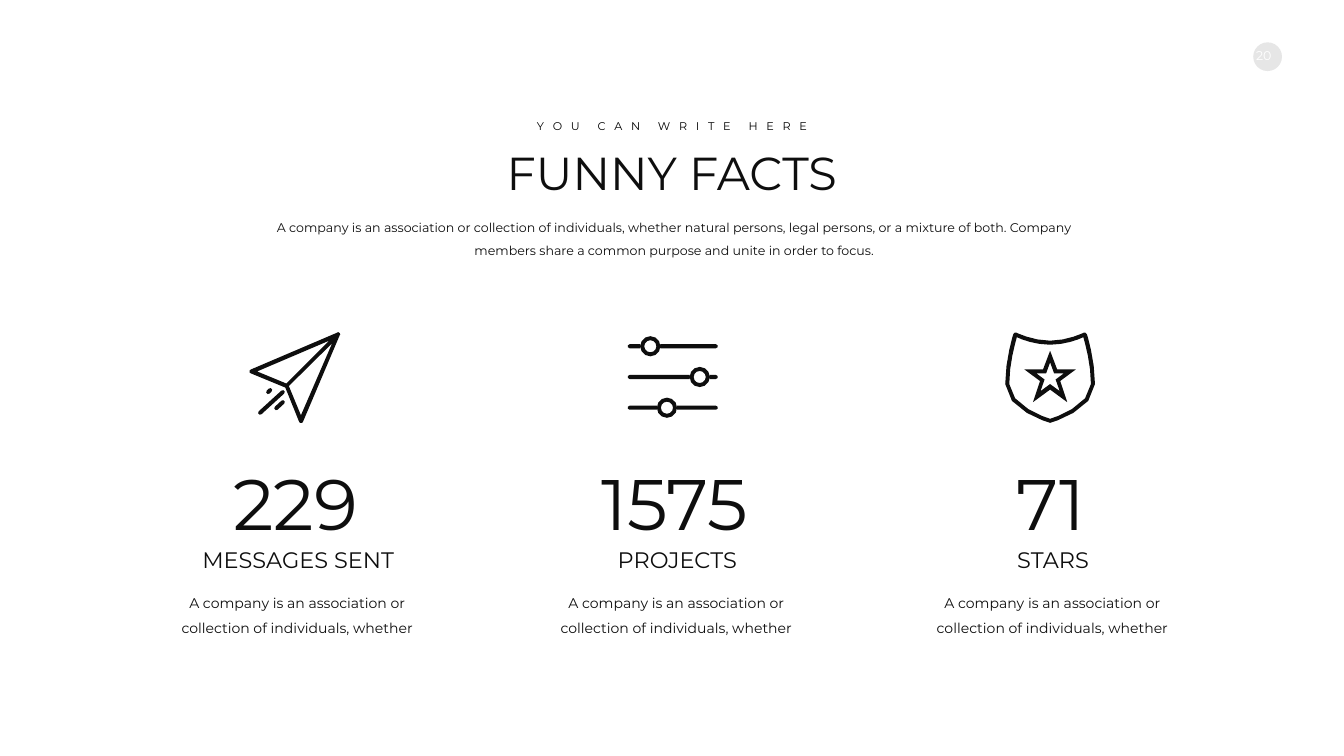
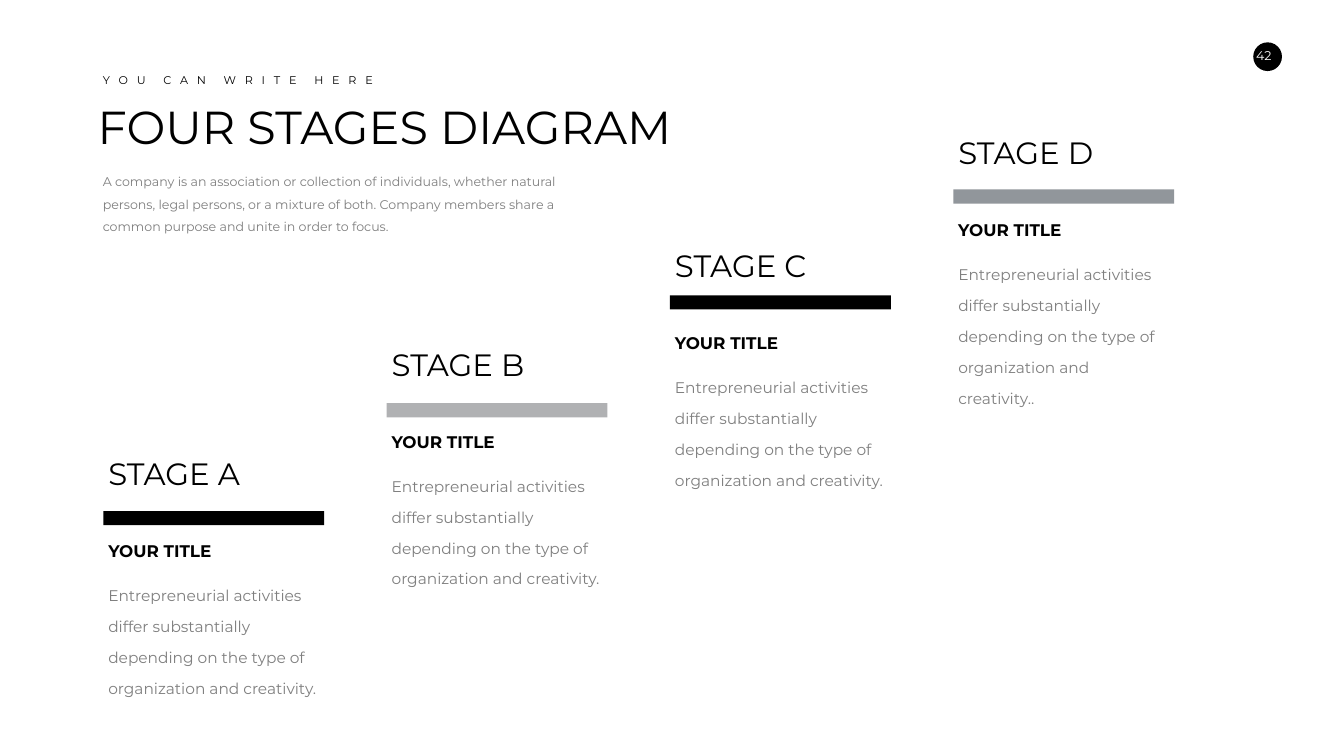
import dataclasses
import math

import lxml.etree
import pptx
import pptx.dml.color
import pptx.enum.shapes
import pptx.enum.text
import pptx.oxml.ns
import pptx.presentation
import pptx.shapes.autoshape
import pptx.slide
import pptx.util

PX = 9144  # EMU in one px, 100 px to the inch
PAGE_WIDTH, PAGE_HEIGHT = 2666, 1500
FONT = "Montserrat"
COLORS = {
    "black": "000000",
    "ink": "0E0E0E",
    "white": "FFFFFF",
    "gray": "7F7F7F",
    "silver": "B0B1B3",
    "steel": "91969B",
}
LEFT = pptx.enum.text.PP_ALIGN.LEFT
CENTER = pptx.enum.text.PP_ALIGN.CENTER
RECTANGLE = pptx.enum.shapes.MSO_SHAPE.RECTANGLE
OVAL = pptx.enum.shapes.MSO_SHAPE.OVAL

EYEBROW_WORDS = ("Y O U", "C A N", "W R I T E", "H E R E")
LETTER_SPACING, WORD_SPACING = 420, 1680  # hundredths of a point
INTRO = (
    "A company is an association or collection of individuals, whether natural "
    "persons, legal persons, or a mixture of both. Company members share a "
    "common purpose and unite in order to focus."
)
FACT_TEXT = "A company is an association or collection of individuals, whether"
STAGE_TEXT = (
    "Entrepreneurial activities differ substantially depending on the type of "
    "organization and creativity."
)

Point = tuple[float, float]
Contour = list[Point]
Pieces = list[tuple[str, int]]


@dataclasses.dataclass
class Area:
    left: int
    top: int
    width: int
    height: int

    def emu(self) -> tuple[int, int, int, int]:
        return self.left * PX, self.top * PX, self.width * PX, self.height * PX


@dataclasses.dataclass
class Header:
    title: str
    eyebrow_area: Area
    title_area: Area
    intro_area: Area
    align: pptx.enum.text.PP_ALIGN
    title_color: str
    intro_color: str


@dataclasses.dataclass
class Fact:
    number: str
    label: str
    center: int
    number_width: int
    label_width: int
    icon: list[Contour]


@dataclasses.dataclass
class Stage:
    letter: str
    top: int
    bar_top: int
    bar_color: str
    ending: str = ""


def add_text(
    page: pptx.slide.Slide, text: str | Pieces, area: Area, *, size: int,
    color: str = "black", bold: bool = False,
    align: pptx.enum.text.PP_ALIGN = LEFT, line_spacing: float | None = None,
    insets: tuple[int, int, int, int] = (10, 5, 10, 5),
) -> None:
    """Add a paragraph of plain text, or of pieces with their own letter spacing.

    Insets are left, top, right, bottom in px.
    """
    frame = page.shapes.add_textbox(*area.emu()).text_frame
    frame.word_wrap = True
    (frame.margin_left, frame.margin_top,
     frame.margin_right, frame.margin_bottom) = [inset * PX for inset in insets]
    para = frame.paragraphs[0]
    para.alignment = align
    para.line_spacing = line_spacing
    for piece, spacing in [(text, 0)] if isinstance(text, str) else text:
        span = para.add_run()
        span.text = piece
        span.font.name = FONT
        span.font.size = pptx.util.Pt(size)
        span.font.bold = bold
        span.font.color.rgb = pptx.dml.color.RGBColor.from_string(COLORS[color])
        if spacing:
            span.font._rPr.set("spc", str(spacing))


def paint(shape: pptx.shapes.autoshape.Shape, color: str) -> None:
    shape.shadow.inherit = False
    shape.fill.solid()
    shape.fill.fore_color.rgb = pptx.dml.color.RGBColor.from_string(COLORS[color])
    shape.line.fill.background()


def add_block(
    page: pptx.slide.Slide, kind: pptx.enum.shapes.MSO_SHAPE, area: Area, color: str
) -> pptx.shapes.autoshape.Shape:
    block = page.shapes.add_shape(kind, *area.emu())
    paint(block, color)
    return block


def add_icon(page: pptx.slide.Slide, contours: list[Contour]) -> None:
    """Fill all contours as one shape; a contour inside another cuts a hole."""
    builder = None
    for contour in contours:
        start, *rest = [(round(x * PX), round(y * PX)) for x, y in contour]
        if builder is None:
            builder = page.shapes.build_freeform(*start)
        else:
            builder.move_to(*start)
        builder.add_line_segments(rest, close=True)
    paint(builder.convert_to_shape(), "ink")


def arc(center: Point, radius: float, start: float, sweep: float, steps: int) -> Contour:
    """Points along an arc, angles in degrees, clockwise from the right."""
    angles = [math.radians(start + sweep * i / steps) for i in range(steps + 1)]
    return [(center[0] + radius * math.cos(a), center[1] + radius * math.sin(a))
            for a in angles]


def cap(center: Point, start: float) -> Contour:
    return arc(center, 4, start, 180, 3)


def circle(center: Point, radius: float) -> Contour:
    return arc(center, radius, 0, 360, 12)[:-1]


def curve(a: Point, b: Point, c: Point, d: Point) -> Contour:
    """Points along a cubic Bezier curve, after its start."""
    points = []
    for t in (0.25, 0.5, 0.75, 1):
        weights = ((1 - t) ** 3, 3 * t * (1 - t) ** 2, 3 * t * t * (1 - t), t ** 3)
        points.append(tuple(
            sum(w * p[axis] for w, p in zip(weights, (a, b, c, d)))
            for axis in (0, 1)
        ))
    return points


def capsule(a: Point, b: Point) -> Contour:
    angle = math.degrees(math.atan2(b[1] - a[1], b[0] - a[0]))
    return cap(a, angle + 90) + cap(b, angle - 90)


def mirrored(half: Contour) -> Contour:
    """Complete a left half that starts and ends on its vertical axis."""
    axis = half[0][0]
    return half + [(2 * axis - x, y) for x, y in reversed(half[1:-1])]


def plane_icon() -> list[Contour]:
    return [
        [(675, 664), (674, 661), (671, 659), (669, 660), (498, 733), (495, 735),
         (495, 739), (498, 741), (566, 769), (593, 836), (595, 839), (599, 839),
         (601, 837), (674, 665)],
        [(597, 824), (573, 766), (659, 681)],
        [(510, 737), (653, 676), (568, 761)],
        capsule((561, 798), (548, 810)),
        capsule((561, 778), (516, 819)),
        capsule((536, 774), (532, 778)),
    ]


def sliders_icon() -> list[Contour]:
    contours = []
    for y, knob in ((687, 1290), (748, 1388), (809, 1323)):
        start, end = knob - 20, knob + 20
        contours += [
            cap((1249, y), 90) + [(start, y - 4), (start, y + 4)],
            cap((1420, y), -90) + [(end, y + 4), (end, y - 4)],
            circle((knob, y), 20),
            circle((knob, y), 12),
        ]
    return contours


def badge_icon() -> list[Contour]:
    outer = (
        [(2083, 676)]
        + curve((2083, 676), (2048, 676), (2016, 660), (2016, 660))
        + [(2013, 660), (2010, 663)]
        + curve((2010, 663), (2010, 663), (1994, 713), (1994, 762))
        + curve((1994, 762), (1994, 813), (2079, 838), (2083, 839))
    )
    inner = (
        [(2083, 684)]
        + curve((2083, 684), (2054, 684), (2027, 674), (2017, 669))
        + curve((2017, 669), (2013, 684), (2002, 722), (2002, 762))
        + curve((2002, 762), (2002, 804), (2075, 829), (2083, 831))
    )
    star = [(2083, 696), (2069, 733), (2032, 733), (2063, 756), (2049, 798),
            (2083, 773)]
    star_hole = [(2083, 719), (2075, 741), (2056, 741), (2072, 753), (2064, 776),
                 (2083, 762)]
    return [mirrored(half) for half in (outer, inner, star, star_hole)]


def add_page_number(page: pptx.slide.Slide, number: int) -> None:
    add_block(page, OVAL, Area(2486, 84, 57, 57), "black")
    add_text(page, str(number), Area(2470, 85, 86, 50), size=18, color="white",
             align=CENTER, insets=(10, 10, 22, 10))


def add_header(page: pptx.slide.Slide, header: Header) -> None:
    eyebrow = [(EYEBROW_WORDS[0], LETTER_SPACING)]
    for word in EYEBROW_WORDS[1:]:
        eyebrow += [(" ", WORD_SPACING), (word, LETTER_SPACING)]
    add_text(page, eyebrow, header.eyebrow_area, size=16, align=header.align)
    add_text(page, header.title, header.title_area, size=66,
             color=header.title_color, align=header.align)
    add_text(page, INTRO, header.intro_area, size=18, color=header.intro_color,
             align=header.align, line_spacing=1.5)


def add_veil(page: pptx.slide.Slide) -> None:
    """Cover the page with white at 90 % opacity."""
    veil = add_block(page, RECTANGLE, Area(0, 0, PAGE_WIDTH, PAGE_HEIGHT), "white")
    color = veil._element.xpath(".//a:solidFill/a:srgbClr")[0]
    lxml.etree.SubElement(color, pptx.oxml.ns.qn("a:alpha"), val="90000")


def add_fact(page: pptx.slide.Slide, fact: Fact) -> None:
    add_icon(page, fact.icon)
    rows = (
        (fact.number, fact.center - 3, 906, fact.number_width, 182, 102, None),
        (fact.label, fact.center + 2, 1078, fact.label_width, 64, 32, None),
        (FACT_TEXT, fact.center, 1158, 525, 104, 20, 1.5),
    )
    for text, center, top, width, height, size, spacing in rows:
        add_text(page, text, Area(center - width // 2, top, width, height),
                 size=size, color="ink", align=CENTER, line_spacing=spacing)


def add_stage(page: pptx.slide.Slide, stage: Stage, left: int) -> None:
    add_block(page, RECTANGLE, Area(left, stage.bar_top, 438, 28), stage.bar_color)
    add_text(page, f"STAGE {stage.letter}", Area(left, stage.top, 292, 84), size=44)
    add_text(page, "YOUR TITLE", Area(left, stage.top + 170, 257, 50),
             size=24, bold=True)
    add_text(page, STAGE_TEXT + stage.ending,
             Area(left, stage.top + 236, 438, 211),
             size=22, color="gray", line_spacing=1.67)


def add_page(deck: pptx.presentation.Presentation, number: int) -> pptx.slide.Slide:
    page = deck.slides.add_slide(deck.slide_layouts[6])
    add_page_number(page, number)
    return page


def build_facts(deck: pptx.presentation.Presentation) -> None:
    page = add_page(deck, 20)
    add_veil(page)
    add_header(page, Header(
        "FUNNY FACTS", Area(1044, 231, 578, 37), Area(951, 282, 763, 121),
        Area(536, 417, 1603, 95), CENTER, "ink", "ink"))
    for fact in (
        Fact("229", "MESSAGES SENT", 589, 302, 511, plane_icon()),
        Fact("1575", "PROJECTS", 1341, 356, 323, sliders_icon()),
        Fact("71", "STARS", 2087, 174, 210, badge_icon()),
    ):
        add_fact(page, fact)


def build_stages(deck: pptx.presentation.Presentation) -> None:
    page = add_page(deck, 42)
    for index, stage in enumerate((
        Stage("A", 898, 1014, "black"),
        Stage("B", 681, 800, "silver"),
        Stage("C", 485, 586, "black"),
        Stage("D", 261, 376, "steel", ending="."),
    )):
        add_stage(page, stage, 205 + 562 * index)
    add_header(page, Header(
        "FOUR STAGES DIAGRAM", Area(194, 140, 685, 37), Area(184, 191, 1319, 121),
        Area(194, 325, 957, 192), LEFT, "black", "gray"))


def main() -> None:
    deck = pptx.Presentation()
    deck.slide_width, deck.slide_height = PAGE_WIDTH * PX, PAGE_HEIGHT * PX
    build_facts(deck)
    build_stages(deck)
    deck.save("out.pptx")


if __name__ == "__main__":
    main()
